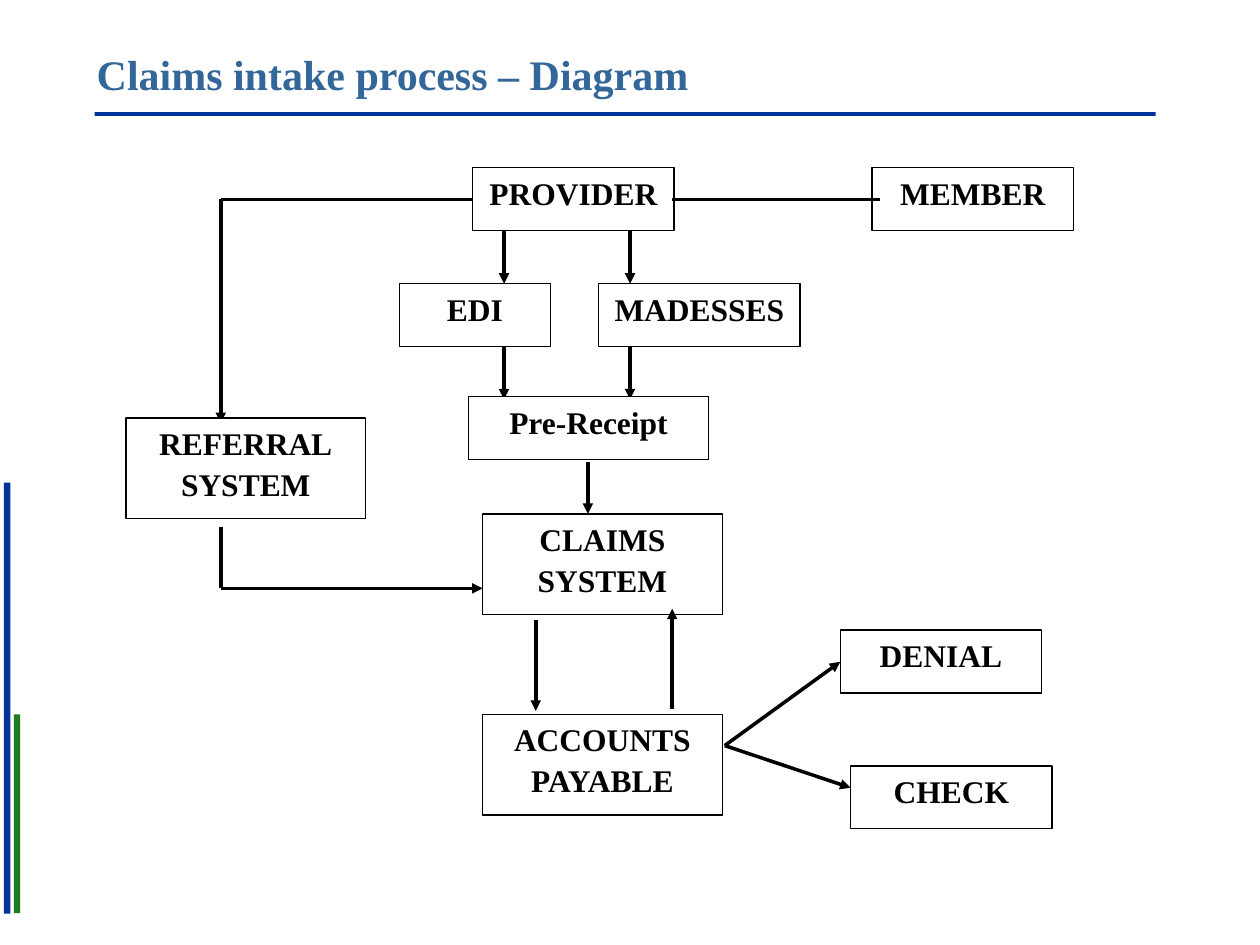
from dataclasses import dataclass

from lxml import etree
from pptx import Presentation, util as u
from pptx.dml.color import RGBColor
from pptx.enum import shapes, text
from pptx.oxml import ns
from pptx.slide import Slide


def color(value):
    return RGBColor.from_string(value)


def lengths(*values):
    return [u.Cm(value) for value in values]


def apply(target, values):
    for name, value in values.items():
        setattr(target, name, value)


@dataclass
class Diagram:
    slide: Slide
    font: str = "Times New Roman"
    ink: str = "000000"
    paper: str = "FFFFFF"

    def label(self, shape, lines, size, ink, frame_format, paragraph_format):
        frame = shape.text_frame
        apply(frame, {"word_wrap": True, **frame_format})
        for index, line in enumerate(lines):
            paragraph = frame.add_paragraph() if index else frame.paragraphs[0]
            paragraph.text = line
            apply(paragraph, paragraph_format)
            apply(paragraph.font, {"name": self.font, "size": u.Pt(size), "bold": True})
            paragraph.font.color.rgb = color(ink)

    def title(self, wording, left, top, width, height):
        shape = self.slide.shapes.add_textbox(*lengths(left, top, width, height))
        self.label(shape, [wording], 24, "336699",
                   {"vertical_anchor": text.MSO_ANCHOR.MIDDLE}, {})

    def bar(self, fill, left, top, width, height):
        shape = self.slide.shapes.add_shape(
            shapes.MSO_SHAPE.RECTANGLE, *lengths(left, top, width, height))
        shape.shadow.inherit = False
        shape.fill.solid()
        shape.fill.fore_color.rgb = color(fill)
        shape.line.fill.background()
        return shape

    def box(self, lines, left, top, width=4.06):
        height = 1.27 if len(lines) == 1 else 2.03
        shape = self.bar(self.paper, left, top, width, height)
        shape.line.color.rgb = color(self.ink)
        shape.line.width = u.Pt(0.75)
        self.label(shape, lines, 18, self.ink,
                   {"vertical_anchor": text.MSO_ANCHOR.TOP},
                   {"alignment": text.PP_ALIGN.CENTER, "space_before": u.Pt(1.5)})

    def line(self, start, end, arrow=True):
        connector = self.slide.shapes.add_connector(
            shapes.MSO_CONNECTOR.STRAIGHT, *lengths(*start, *end))
        connector.line.color.rgb = color(self.ink)
        connector.line.width = u.Pt(2)
        properties = connector._element.spPr
        if arrow:
            outline = properties.find(ns.qn("a:ln"))
            etree.SubElement(outline, ns.qn("a:tailEnd"), type="triangle")
        etree.SubElement(properties, ns.qn("a:effectLst"))


def main():
    presentation = Presentation()
    apply(presentation, {"slide_width": u.Cm(25.4), "slide_height": u.Cm(19.05)})
    diagram = Diagram(presentation.slides.add_slide(presentation.slide_layouts[6]))

    diagram.bar("003399", 1.91, 2.26, 21.39, 0.08)
    diagram.bar("003399", 0.08, 9.73, 0.13, 8.69)
    diagram.bar("1F7D1F", 0.28, 14.4, 0.13, 4.01)
    diagram.title("Claims intake process – Diagram", 1.7, 0.64, 21.59, 1.7)

    wide = 4.83
    diagram.box(["PROVIDER"], 9.53, 3.38)
    diagram.box(["MEMBER"], 17.58, 3.38)
    diagram.box(["EDI"], 8.05, 5.72, 3.05)
    diagram.box(["MADESSES"], 12.07, 5.72)
    diagram.box(["CLAIMS", "SYSTEM"], 9.73, 10.36, wide)
    diagram.box(["ACCOUNTS", "PAYABLE"], 9.73, 14.4, wide)
    diagram.box(["DENIAL"], 16.94, 12.7)
    diagram.box(["CHECK"], 17.15, 15.44)

    # Provider to member, and down both intake channels
    diagram.line((13.54, 4.02), (17.73, 4.02), arrow=False)
    for x in (10.16, 12.7):
        for top in (4.66, 6.99):
            diagram.line((x, top), (x, top + 1.06))

    # Referral branch
    referral_x = 4.45
    diagram.line((9.53, 4.02), (referral_x, 4.02), arrow=False)
    diagram.line((referral_x, 4.02), (referral_x, 8.53))
    diagram.line((referral_x, 10.62), (referral_x, 11.86), arrow=False)
    diagram.line((referral_x, 11.86), (9.73, 11.86))

    # Claims, accounts and outcomes
    diagram.line((11.85, 9.31), (11.85, 10.36))
    diagram.line((10.8, 12.5), (10.8, 14.33))
    diagram.line((13.55, 14.3), (13.55, 12.27))
    for outcome in ((16.94, 13.34), (17.15, 15.88)):
        diagram.line((14.61, 15.03), outcome)

    # These boxes lie over the arrow tips
    diagram.box(["Pre-Receipt"], 9.45, 8, wide)
    diagram.box(["REFERRAL", "SYSTEM"], 2.54, 8.43, wide)

    presentation.save("out.pptx")


if __name__ == "__main__":
    main()
